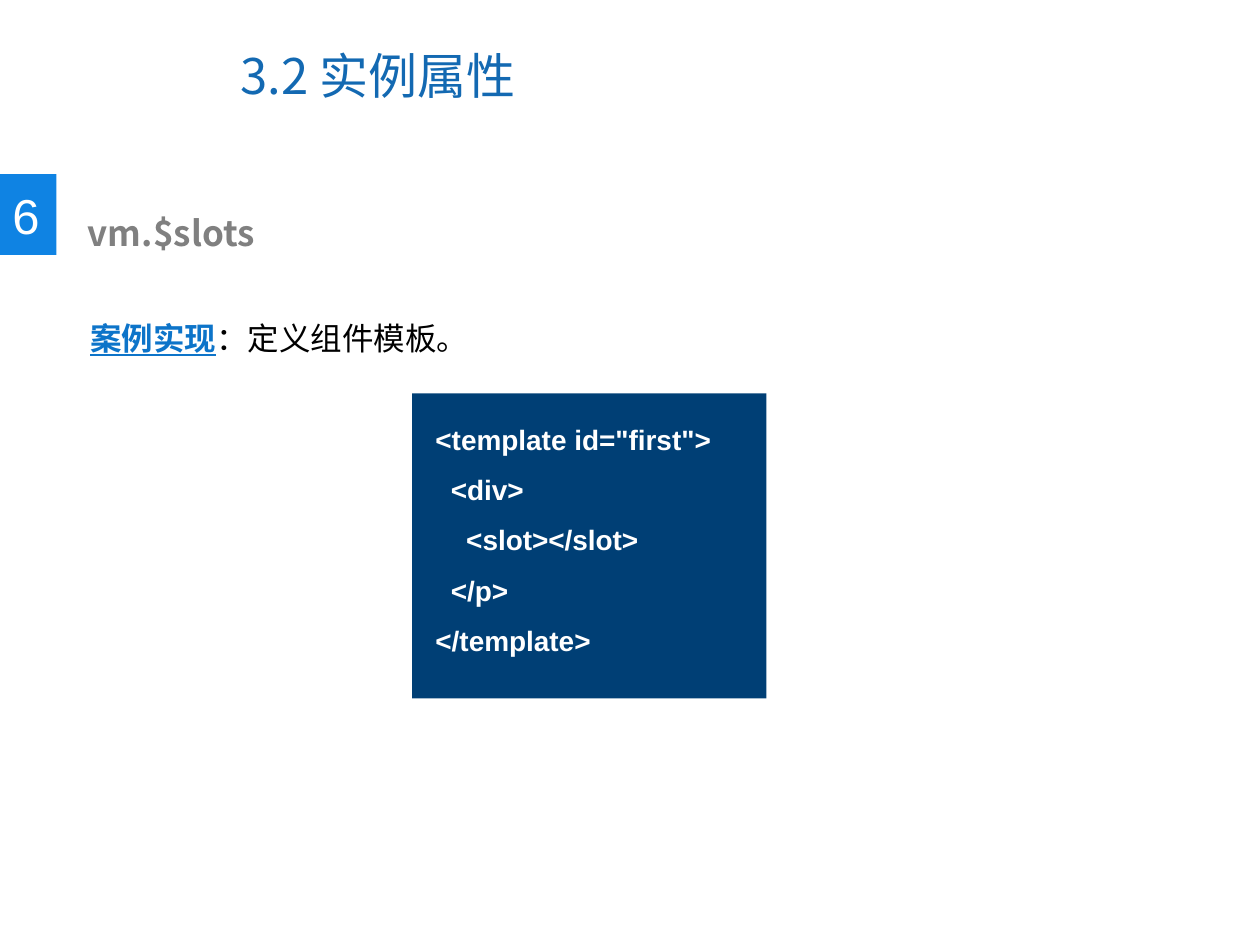
"""Build the slide on the vm.$slots instance property."""
from lxml.etree import SubElement
from pptx import Presentation
from pptx.dml.color import RGBColor
from pptx.enum.shapes import MSO_SHAPE
from pptx.enum.text import MSO_ANCHOR
from pptx.oxml.ns import qn
from pptx.util import Cm, Pt

CJK = "Noto Sans CJK SC"
rgb = RGBColor.from_string


def frame(x, y, w, h, wrap=True, anchor=MSO_ANCHOR.TOP):
    area = slide.shapes.add_textbox(Cm(x), Cm(y), Cm(w), Cm(h)).text_frame
    area.word_wrap = wrap
    area.vertical_anchor = anchor
    return area


def write(para, text, size=18, color="FFFFFF", face="Arial", bold=False, line=False):
    run = para.add_run()
    run.text = text
    font = run.font
    font.size, font.name = Pt(size), face
    font.bold, font.underline = bold, line
    font.color.rgb = rgb(color)
    SubElement(run._r.get_or_add_rPr(), qn("a:ea"), typeface=CJK)


deck = Presentation()
deck.slide_width, deck.slide_height = Cm(25.4), Cm(19.05)
slide = deck.slides.add_slide(deck.slide_layouts[6])

for x, y, w, h, fill in [
    (0, 3.51, 1.14, 1.63, "0F83E3"),
    (8.31, 7.93, 7.14, 6.15, "003F75"),
]:
    block = slide.shapes.add_shape(MSO_SHAPE.RECTANGLE, Cm(x), Cm(y), Cm(w), Cm(h))
    block.shadow.inherit = False
    block.fill.solid()
    block.fill.fore_color.rgb = rgb(fill)
    block.line.fill.background()

title = frame(4.6, 0.43, 13.11, 2.16, anchor=MSO_ANCHOR.MIDDLE)
write(title.paragraphs[0], "3.2 实例属性", size=28, color="1369B2", face=CJK)

badge = frame(0, 3.61, 1.07, 1.45, wrap=False)
write(badge.paragraphs[0], "6", size=28)

head = frame(1.52, 4.14, 12.73, 1.12)
write(head.paragraphs[0], "vm.$slots", size=20, color="808080", face=CJK, bold=True)

task = frame(1.57, 5.54, 21.97, 1.8).paragraphs[0]
task.line_spacing = 2
write(task, "案例实现", color="0D74C9", bold=True, line=True)
write(task, "：定义组件模板。", color="000000")

code = frame(8.53, 8.05, 6.93, 4.09)
lines = [
    (0, '<template id="first">'),
    (1, "<div>"),
    (2, "<slot></slot>"),
    (1, "</p>"),
    (0, "</template>"),
]
for i, (depth, text) in enumerate(lines):
    para = code.add_paragraph() if i else code.paragraphs[0]
    para.line_spacing = 1.5
    para._p.get_or_add_pPr().set("marL", str(Cm(0.31 * depth)))
    write(para, text, size=16, bold=True)

deck.save("out.pptx")
